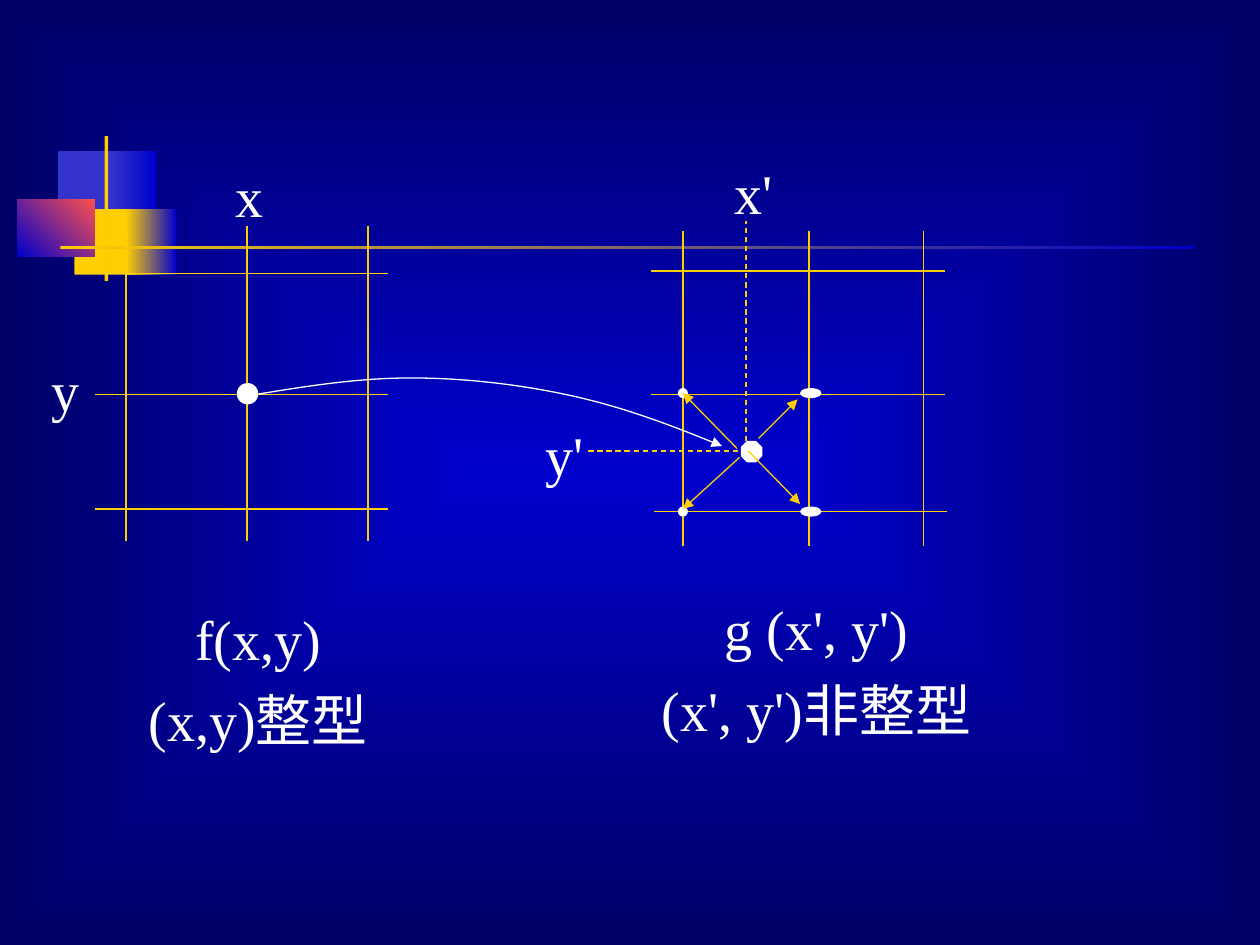
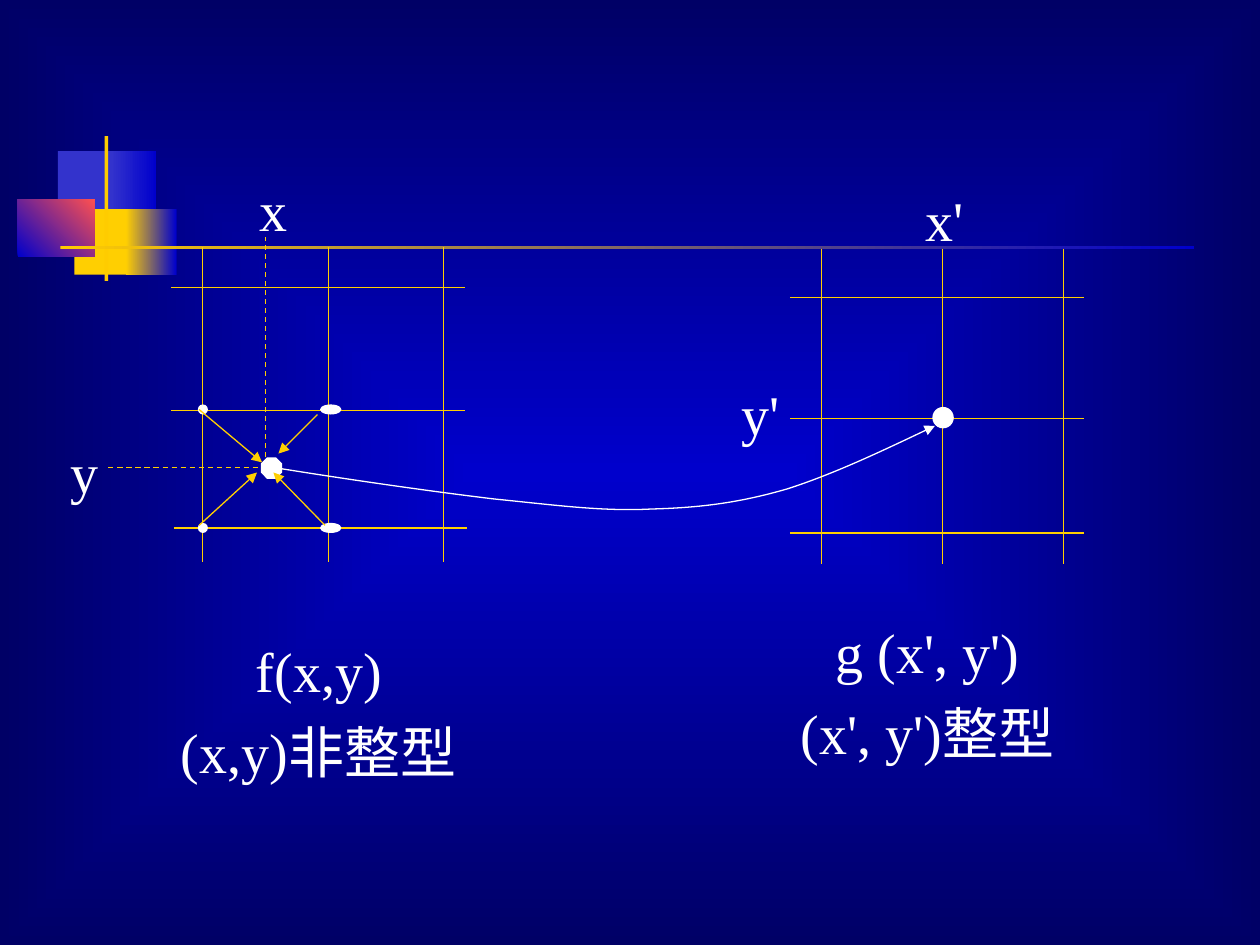
from lxml import etree
from pptx import Presentation
from pptx.dml.color import RGBColor
from pptx.enum.dml import MSO_LINE
from pptx.enum.shapes import MSO_CONNECTOR, MSO_SHAPE
from pptx.enum.text import MSO_AUTO_SIZE, PP_ALIGN
from pptx.oxml.ns import qn
from pptx.util import Inches, Pt

RECT, ELLIPSE, OCTAGON = MSO_SHAPE.RECTANGLE, MSO_SHAPE.OVAL, MSO_SHAPE.OCTAGON
STRAIGHT, DASH = MSO_CONNECTOR.STRAIGHT, MSO_LINE.DASH
CENTER, GROW = PP_ALIGN.CENTER, MSO_AUTO_SIZE.SHAPE_TO_FIT_TEXT

BLUE = RGBColor(0x00, 0x00, 0xCC)
NAVY = RGBColor(0x00, 0x00, 0x66)
INDIGO = RGBColor(0x33, 0x33, 0xCC)
YELLOW = RGBColor(0xFF, 0xCF, 0x01)
GOLD = RGBColor(0xFF, 0xCC, 0x00)
RED = RGBColor(0xFF, 0x50, 0x50)
WHITE = RGBColor(0xFF, 0xFF, 0xFF)
FONT = "Times New Roman"

ORNAMENTS = [
    ((0.46, 1.2, 0.48, 0.52), (INDIGO,), 0),
    ((0.88, 1.2, 0.36, 0.52), (INDIGO, BLUE), 0),
    ((0.59, 1.66, 0.46, 0.52), (YELLOW,), 0),
    ((1, 1.66, 0.4, 0.52), (YELLOW, BLUE), 0),
    ((0.14, 1.58, 0.61, 0.46), (BLUE, RED), 45),
    ((0.83, 1.08, 0.03, 1.15), (GOLD,), 0),
    ((0.48, 1.95, 9, 0.03), (GOLD, BLUE), 0),
]


def set_gradient(fill, colors):
    """Fill with a gradient from the first colour to the second."""
    fill.gradient()
    for i, color in enumerate(colors):
        fill.gradient_stops[i].color.rgb = color
        fill.gradient_stops[i].position = i


def set_background(master):
    """Give the master a gradient that darkens towards the edges."""
    set_gradient(master.background.fill, (BLUE, NAVY))
    grad = master.element.xpath(".//p:bg//a:gradFill")[0]
    grad.remove(grad.find(qn("a:lin")))
    shade = etree.SubElement(grad, qn("a:path"), path="rect")
    etree.SubElement(shade, qn("a:fillToRect"), l="50000", t="50000", r="50000", b="50000")


def add_solid(slide, kind, box, colors=(WHITE,), angle=0):
    """Add an unlined shape with one colour or a gradient of two."""
    sp = slide.shapes.add_shape(kind, *map(Inches, box))
    sp.shadow.inherit = False
    sp.line.fill.background()
    if len(colors) == 1:
        sp.fill.solid()
        sp.fill.fore_color.rgb = colors[0]
    else:
        set_gradient(sp.fill, colors)
        sp.fill.gradient_angle = angle
    return sp


def style_line(sp, color, arrow=False):
    """Set the thin line of a connector or curve, with an optional arrowhead."""
    sp.line.color.rgb = color
    sp.line.width = Pt(0.75)
    if arrow:
        etree.SubElement(sp.get_or_add_ln(), qn("a:tailEnd"), type="triangle")


def add_line(slide, x1, y1, x2, y2, arrow=False, dashed=False):
    """Add a yellow straight line."""
    sp = slide.shapes.add_connector(STRAIGHT, *map(Inches, (x1, y1, x2, y2)))
    if dashed:
        sp.line.dash_style = DASH
    style_line(sp, YELLOW, arrow)
    etree.SubElement(sp.element.spPr, qn("a:effectLst"))


def add_curve(slide, start, controls):
    """Add a white arrow of cubic curves, three control points to each."""
    builder = slide.shapes.build_freeform(Inches(start[0]), Inches(start[1]))
    builder.add_line_segments([(Inches(x), Inches(y)) for x, y in controls], close=False)
    sp = builder.convert_to_shape()
    sp.shadow.inherit = False
    sp.fill.background()
    style_line(sp, WHITE, arrow=True)
    segments = sp.element.xpath(".//a:lnTo")
    outline = segments[0].getparent()
    for i in range(0, len(segments), 3):
        curve = etree.SubElement(outline, qn("a:cubicBezTo"))
        for segment in segments[i:i + 3]:
            curve.append(segment[0])
            outline.remove(segment)


def add_label(slide, center, top, lines, width=0.5):
    """Add centred white text around a horizontal centre."""
    box = (center - width / 2, top, width, 0.1 + 0.59 * len(lines))
    tf = slide.shapes.add_textbox(*map(Inches, box)).text_frame
    tf.word_wrap = False
    tf.auto_size = GROW
    tf.text = "\n".join(lines)
    for i, p in enumerate(tf.paragraphs):
        p.alignment = CENTER
        p.space_before = Pt(8 if i else 0)
        for r in p.runs:
            r.font.name, r.font.size = FONT, Pt(32)
            r.font.color.rgb = WHITE


def add_grid(slide, left, top, columns, rows, shift=0):
    """Add grid lines at offsets from the corner; the last row may be shifted."""
    for dx in columns:
        add_line(slide, left + dx, top, left + dx, top + 2.5)
    for dy in rows:
        x = left + (shift if dy == rows[-1] else 0)
        add_line(slide, x, top + dy, x + 2.33, top + dy)


def add_integer_grid(slide, left, top, x_name, y_name):
    """Add a grid whose point lies on a crossing."""
    add_grid(slide, left, top, (0.25, 1.21, 2.17), (0.38, 1.34, 2.25))
    add_solid(slide, ELLIPSE, (left + 1.13, top + 1.25, 0.17, 0.17))
    add_label(slide, left + 1.23, top - 0.56, [x_name])
    add_label(slide, left - 0.23, top + 0.98, [y_name])


def add_fractional_grid(slide, left, top, x_name, y_name, arrows):
    """Add a grid whose point lies between four neighbours."""
    add_grid(slide, left, top, (0.25, 1.25, 2.16), (0.32, 1.3, 2.23), shift=0.02)
    add_line(slide, left + 0.75, top + 1.67, left + 0.75, top - 0.08, dashed=True)
    add_line(slide, left - 0.5, top + 1.75, left + 0.75, top + 1.75, dashed=True)
    for dy in (1.25, 2.19):
        add_solid(slide, ELLIPSE, (left + 0.21, top + dy, 0.08, 0.08))
        add_solid(slide, ELLIPSE, (left + 1.18, top + dy, 0.17, 0.08))
    point = add_solid(slide, OCTAGON, (left + 0.71, top + 1.67, 0.17, 0.17))
    point.adjustments[0] = 0.29
    for ends in arrows:
        add_line(slide, *ends, arrow=True)
    add_label(slide, left + 0.81, top - 0.62, [x_name])
    add_label(slide, left - 0.69, top + 1.46, [y_name])


def add_slide(prs):
    """Add a blank slide with the shared corner ornament."""
    slide = prs.slides.add_slide(prs.slide_layouts[6])
    for box, colors, angle in ORNAMENTS:
        add_solid(slide, RECT, box, colors, angle)
    return slide


def build_forward_mapping(prs):
    """Map an integer point to a fractional one."""
    slide = add_slide(prs)
    add_integer_grid(slide, 0.75, 1.79, "x", "y")
    add_fractional_grid(slide, 5.17, 1.83, "x'", "y'", [
        (5.87, 3.63, 5.42, 4.04),
        (5.85, 3.56, 5.42, 3.12),
        (5.94, 3.58, 6.35, 4),
        (6.02, 3.48, 6.33, 3.17),
    ])
    add_curve(slide, (1.98, 3.14), [
        (2.4, 3.07), (2.83, 3), (3.26, 3),
        (3.68, 3), (4.12, 3.05), (4.53, 3.14),
        (4.94, 3.23), (5.34, 3.38), (5.73, 3.54),
    ])
    add_label(slide, 2.05, 4.75, ["f(x,y)", "(x,y)整型"], 2.05)
    add_label(slide, 6.48, 4.67, ["g (x', y')", "(x', y')非整型"], 2.76)


def build_backward_mapping(prs):
    """Map a fractional point to an integer one."""
    slide = add_slide(prs)
    add_fractional_grid(slide, 1.36, 1.96, "x", "y", [
        (1.58, 4.17, 2.04, 3.75),
        (2.58, 4.17, 2.17, 3.75),
        (1.58, 3.25, 2.08, 3.67),
        (2.52, 3.29, 2.21, 3.6),
    ])
    add_integer_grid(slide, 6.27, 1.98, "x'", "y'")
    add_curve(slide, (2.17, 3.71), [
        (2.79, 3.81), (3.42, 3.9), (3.92, 3.96),
        (4.42, 4.01), (4.78, 4.06), (5.17, 4.04),
        (5.56, 4.03), (5.87, 3.99), (6.25, 3.88),
        (6.62, 3.76), (7.02, 3.57), (7.42, 3.38),
    ])
    add_label(slide, 7.36, 4.85, ["g (x', y')", "(x', y')整型"], 2.32)
    add_label(slide, 2.53, 5, ["f(x,y)", "(x,y)非整型"], 2.49)


def main():
    """Build and save the presentation."""
    prs = Presentation()
    prs.slide_width, prs.slide_height = Inches(10), Inches(7.5)
    set_background(prs.slide_master)
    build_forward_mapping(prs)
    build_backward_mapping(prs)
    prs.save("out.pptx")


if __name__ == "__main__":
    main()
